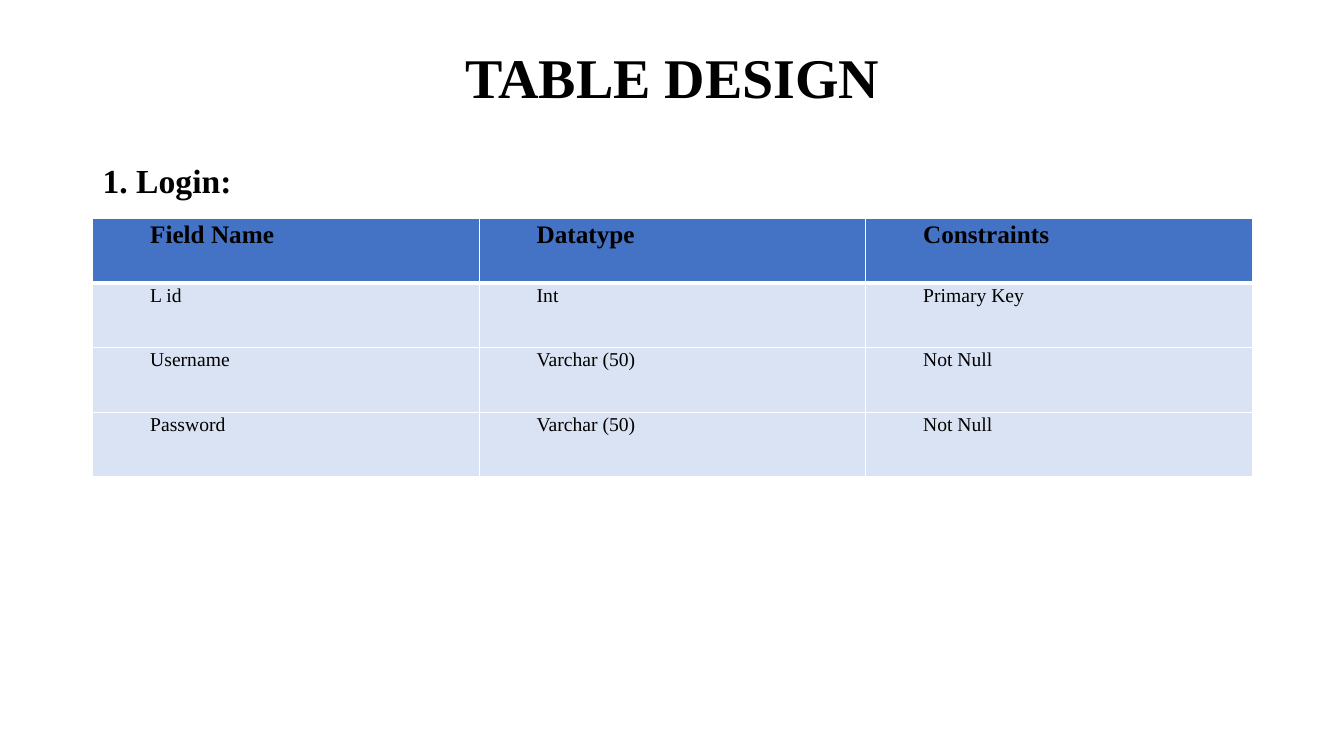
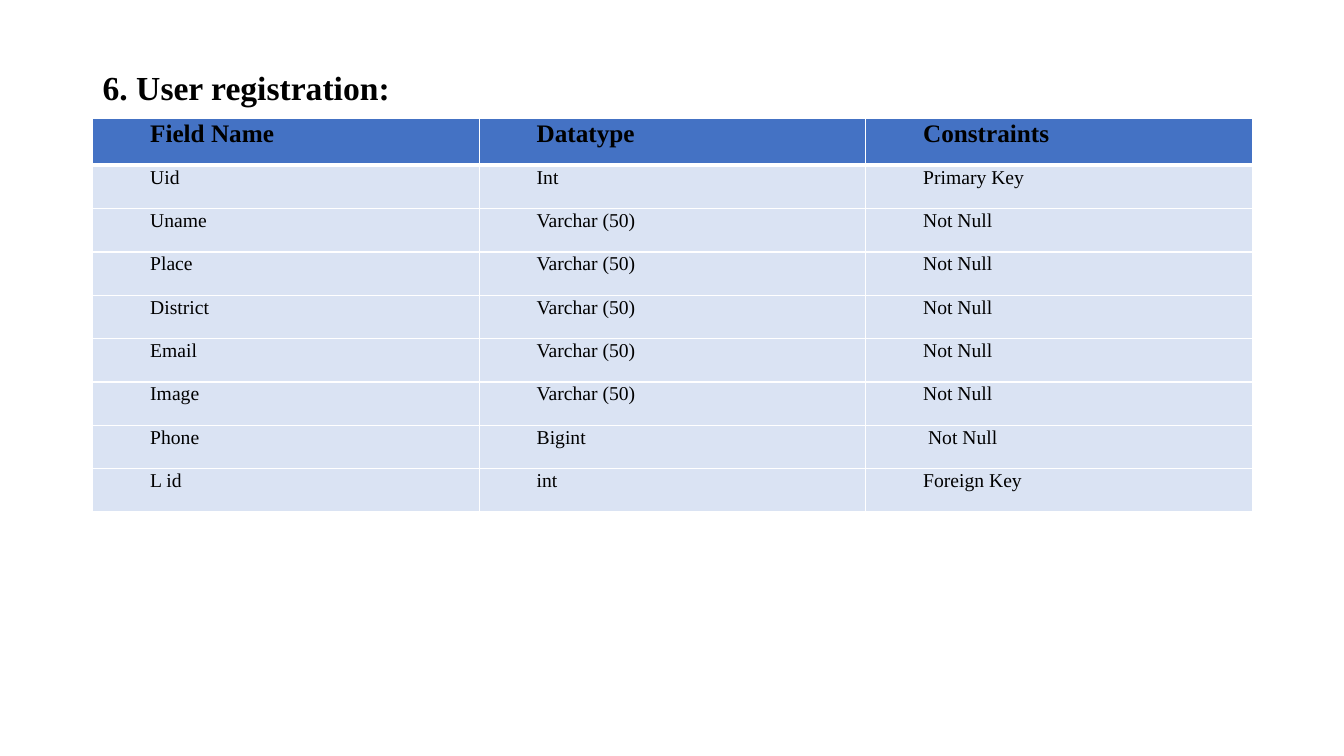
from lxml import etree
from pptx import Presentation, util as u
from pptx.dml.color import RGBColor
from pptx.enum import text as t
from pptx.oxml import ns

FONT = "Times New Roman"
BLACK, WHITE, HEADER_BLUE, ROW_BLUE = "000000", "FFFFFF", "4472C4", "DAE3F3"
WIDTH, HEIGHT = 13.33, 7.5
LEFT, CONTENT_WIDTH = 0.92, 11.5
BOTTOM = 0.9 * HEIGHT
CELL_INDENT = 0.5

FIELDS = ("Field Name", "Datatype", "Constraints")
SLIDES = [
    {
        "title": "TABLE DESIGN",
        "heading": "1. Login:",
        "heading_top": 1.58,
        "table_top": 2.17,
        "header_height": 0.64,
        "row_height": 0.64,
        "rows": [
            ("L id", "Int", "Primary Key"),
            ("Username", "Varchar (50)", "Not Null"),
            ("Password", "Varchar (50)", "Not Null"),
        ],
    },
    {
        "heading": "6. User registration:",
        "heading_top": 0.66,
        "table_top": 1.17,
        "header_height": 0.47,
        "row_height": 0.43,
        "rows": [
            ("Uid", "Int", "Primary Key"),
            ("Uname", "Varchar (50)", "Not Null"),
            ("Place", "Varchar (50)", "Not Null"),
            ("District", "Varchar (50)", "Not Null"),
            ("Email", "Varchar (50)", "Not Null"),
            ("Image", "Varchar (50)", "Not Null"),
            ("Phone", "Bigint", " Not Null"),
            ("L id", "int", "Foreign Key"),
        ],
    },
]


def color(value):
    return RGBColor.from_string(value)


def write(frame, words, size, bold, spacing):
    paragraph = frame.paragraphs[0]
    paragraph.line_spacing = spacing
    run = paragraph.add_run()
    run.text = words
    run.font.name = FONT
    run.font.size = u.Pt(size)
    run.font.bold = bold
    run.font.color.rgb = color(BLACK)
    return paragraph


def add_text(slide, words, top, height, size, anchor):
    box = slide.shapes.add_textbox(*map(u.Inches, (LEFT, top, CONTENT_WIDTH, height)))
    frame = box.text_frame
    frame.word_wrap = True
    frame.auto_size = t.MSO_AUTO_SIZE.NONE
    frame.vertical_anchor = anchor
    return write(frame, words, size, True, 0.9)


def set_borders(cell, top, bottom):
    properties = cell._tc.get_or_add_tcPr()
    edges = (("lnL", 1), ("lnR", 1), ("lnT", top), ("lnB", bottom))
    for position, (edge, points) in enumerate(edges):
        line = etree.Element(ns.qn("a:" + edge), w=str(u.Pt(points)))
        fill = etree.SubElement(line, ns.qn("a:solidFill"))
        etree.SubElement(fill, ns.qn("a:srgbClr"), val=WHITE)
        properties.insert(position, line)


def fill_cell(cell, words, row, column):
    header = row == 0
    cell.margin_left = cell.margin_right = u.Inches(0.07)
    cell.margin_top = cell.margin_bottom = 0
    cell.fill.solid()
    cell.fill.fore_color.rgb = color(HEADER_BLUE if header else ROW_BLUE)
    paragraph = write(cell.text_frame, words, 18 if header else 14, header, 1.07)
    paragraph._p.get_or_add_pPr().set("marL", str(u.Inches(CELL_INDENT)))
    if column == len(FIELDS) - 1:
        paragraph.space_after = u.Pt(8)
    set_borders(cell, 3 if row == 1 else 1, 3 if header else 1)


def add_fields(slide, content):
    rows = [FIELDS, *content["rows"]]
    heights = [content["header_height"]] + [content["row_height"]] * len(content["rows"])
    place = (LEFT, content["table_top"], CONTENT_WIDTH, sum(heights))
    table = slide.shapes.add_table(len(rows), len(FIELDS), *map(u.Inches, place)).table
    for column in table.columns:
        column.width = u.Inches(CONTENT_WIDTH / len(FIELDS))
    for r, (values, height) in enumerate(zip(rows, heights)):
        table.rows[r].height = u.Inches(height)
        for c, words in enumerate(values):
            fill_cell(table.cell(r, c), words, r, c)


def main():
    deck = Presentation()
    deck.slide_width, deck.slide_height = u.Inches(WIDTH), u.Inches(HEIGHT)
    for content in SLIDES:
        slide = deck.slides.add_slide(deck.slide_layouts[6])
        if "title" in content:
            title = add_text(slide, content["title"], 0.4, 0.79, 40, t.MSO_ANCHOR.MIDDLE)
            title.alignment = t.PP_ALIGN.CENTER
        top = content["heading_top"]
        heading = add_text(slide, content["heading"], top, BOTTOM - top, 24, t.MSO_ANCHOR.TOP)
        heading.space_before = u.Pt(10)
        add_fields(slide, content)
    deck.save("out.pptx")


if __name__ == "__main__":
    main()
